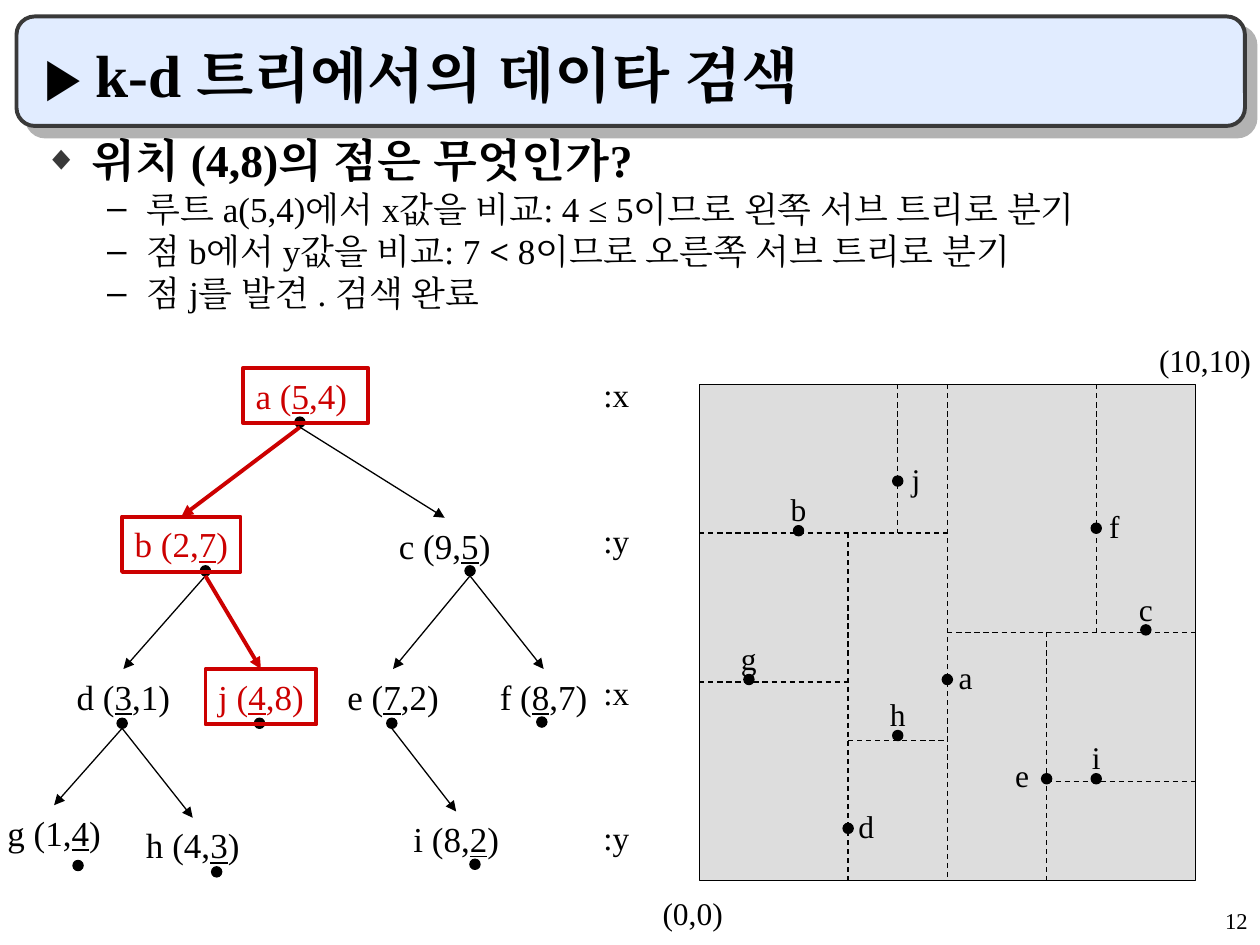
import pptx
import pptx.dml.color
import pptx.enum.dml
import pptx.enum.shapes
import pptx.enum.text
import pptx.oxml
import pptx.oxml.ns
import pptx.util

Pt = pptx.util.Pt
RGBColor = pptx.dml.color.RGBColor
SHAPE = pptx.enum.shapes.MSO_SHAPE
ALIGN = pptx.enum.text.PP_ALIGN
ANCHOR = pptx.enum.text.MSO_ANCHOR

BLACK = RGBColor(0x00, 0x00, 0x00)
RED = RGBColor(0xCC, 0x00, 0x00)
CHARCOAL = RGBColor(0x39, 0x39, 0x39)
PALE_BLUE = RGBColor(0xE1, 0xEC, 0xFF)
SHADOW_GRAY = RGBColor(0xB2, 0xB2, 0xB2)
PLANE_GRAY = RGBColor(0xDD, 0xDD, 0xDD)

FONT = "Times New Roman"
DOT = 5.8
NODE_HEIGHT = 31.7
PLANE_LEFT, PLANE_TOP, UNIT = 399.6, 219.6, 28.35

# name: (text before, compared coordinate, text after, left, top, width, dot x, dot y)
NODES = {
    "a": ("a (", "5", ",4) ", 139, 210.2, 71.3, 171.4, 241.2),
    "b": ("b (2,", "7", ")", 69.8, 295.2, 67.7, 117.4, 326.2),
    "c": ("c (9,", "5", ")", 221, 295.9, 66.2, 268.6, 326.2),
    "d": ("d (", "3", ",1)", 36.7, 382.3, 67.7, 69.8, 413.3),
    "f": ("f (", "8", ",7)", 278.6, 382.3, 64.1, 309.6, 412.6),
    "h": ("h (4,", "3", ")", 76.3, 467.3, 67.7, 123.8, 498.2),
    "g": ("g (1,", "4", ")", -2.9, 460.1, 67.7, 44.6, 494.6),
    "j": ("j (", "4", ",8)", 117.4, 382.3, 63.4, 148.3, 413.3),
    "i": ("i (8,", "2", ")", 229, 463.7, 63.4, 271.4, 493.9),
    "e": ("e (", "7", ",2)", 191.5, 382.3, 66.2, 223.9, 413.3),
}
EDGES = ["ab", "ac", "bd", "bj", "dg", "dh", "ei", "ce", "cf"]
SEARCH_PATH = "abj"
AXIS_LABELS = [(":x", 210.2), (":y", 293.8), (":x", 380.9), (":y", 463.7)]

# name: (x, y, side of the label)
POINTS = {
    "a": (5, 4, "right"), "b": (2, 7, "above"), "c": (9, 5, "above"),
    "d": (3, 1, "right"), "e": (7, 2, "left"), "f": (8, 7.05, "right"),
    "h": (4, 2.87, "above"), "g": (1, 4, "above"), "j": (4, 8, "right"),
    "i": (8, 2, "above"),
}
LABEL_OFFSETS = {"right": (10.4, -1.4), "left": (-14, -2), "above": (0, -12.2)}
SPLITS = [
    (5, 10, 5, 0), (0, 7, 5, 7), (5, 5, 10, 5), (3, 7, 3, 0), (7, 5, 7, 0),
    (8, 10, 8, 5), (0, 4, 3, 4), (7, 2, 10, 2), (4, 10, 4, 7), (3, 2.82, 5, 2.82),
]

BULLETS = [
    (0, [("위치 (4,8)의 점은 무엇인가?", True)]),
    (1, [("루트 a(5,4)에서 x값을 비교: 4 ≤ 5이므로 왼쪽 서브 트리로 분기", False)]),
    (1, [("점 b에서 y값을 비교: 7 ", False), ("<", True),
         (" 8이므로 오른쪽 서브 트리로 분기", False)]),
    (1, [("점 j를 발견 . 검색 완료", False)]),
]
# size, left margin, indent, space before, bullet, bullet colour, bullet percent
LEVELS = [
    (26, 27, -27, 6.5, "◆", CHARCOAL, 75),
    (20, 58.5, -22.5, 5, "–", BLACK, 100),
]


def add_xml(parent, markup):
    namespace = pptx.oxml.ns.nsdecls("a")
    parent.append(pptx.oxml.parse_xml(f"<a:wrap {namespace}>{markup}</a:wrap>")[0])


def add_run(paragraph, text, size, color=BLACK, bold=False, underline=False):
    run = paragraph.add_run()
    run.text = text
    font = run.font
    font.name, font.size, font.bold, font.underline = FONT, Pt(size), bold, underline
    font.color.rgb = color
    add_xml(run._r.get_or_add_rPr(), f'<a:ea typeface="{FONT}"/>')


def place(shape, left, top, width, height):
    shape.left, shape.top, shape.width, shape.height = map(Pt, (left, top, width, height))


def add_solid(shapes, kind, left, top, width, height, fill, line=BLACK, weight=0.75):
    shape = shapes.add_shape(kind, Pt(left), Pt(top), Pt(width), Pt(height))
    shape.shadow.inherit = False
    if fill is None:
        shape.fill.background()
    else:
        shape.fill.solid()
        shape.fill.fore_color.rgb = fill
    shape.line.color.rgb = line
    shape.line.width = Pt(weight)
    return shape


def add_dot(shapes, x, y):
    add_solid(shapes, SHAPE.OVAL, x - DOT / 2, y - DOT / 2, DOT, DOT, BLACK)


def add_label(shapes, text, left, top, width, height, size, align=ALIGN.LEFT):
    frame = shapes.add_textbox(Pt(left), Pt(top), Pt(width), Pt(height)).text_frame
    frame.word_wrap = True
    frame.paragraphs[0].alignment = align
    add_run(frame.paragraphs[0], text, size)


def add_line(shapes, x1, y1, x2, y2, color=BLACK, weight=0.75):
    straight = pptx.enum.shapes.MSO_CONNECTOR.STRAIGHT
    line = shapes.add_connector(straight, Pt(x1), Pt(y1), Pt(x2), Pt(y2))
    line.line.color.rgb = color
    line.line.width = Pt(weight)
    add_xml(line._element.spPr, "<a:effectLst/>")
    return line


def add_title(slide):
    card = add_solid(slide.shapes, SHAPE.ROUNDED_RECTANGLE, 9.4, 9.4, 702, 62.6,
                     PALE_BLUE, CHARCOAL, 2.25)
    effects = card._element.spPr.find(pptx.oxml.ns.qn("a:effectLst"))
    add_xml(effects, '<a:outerShdw blurRad="0" dist="107950" dir="2700000" algn="ctr" '
                     f'rotWithShape="0"><a:srgbClr val="{SHADOW_GRAY}"/></a:outerShdw>')
    slide.shapes._spTree.insert(2, card._element)  # behind the title

    title = slide.shapes.title
    place(title, 18, 18, 678, 48)
    frame = title.text_frame
    frame.auto_size = pptx.enum.text.MSO_AUTO_SIZE.NONE
    frame.vertical_anchor = ANCHOR.BOTTOM
    frame.paragraphs[0].alignment = ALIGN.LEFT
    add_run(frame.paragraphs[0], "▶ ", 32, bold=True)
    add_run(frame.paragraphs[0], "k-d 트리에서의 데이타 검색", 34, bold=True)


def add_bullets(slide):
    body = slide.placeholders[1]
    place(body, 18, 78, 678, 420)
    frame = body.text_frame
    frame.auto_size = pptx.enum.text.MSO_AUTO_SIZE.NONE
    for index, (level, runs) in enumerate(BULLETS):
        size, margin, indent, before, bullet, color, percent = LEVELS[level]
        paragraph = frame.add_paragraph() if index else frame.paragraphs[0]
        paragraph.level = level
        paragraph.line_spacing = 0.8
        paragraph.space_before = Pt(before if index else 0)
        properties = paragraph._p.get_or_add_pPr()
        properties.set("marL", str(Pt(margin)))
        properties.set("indent", str(Pt(indent)))
        add_xml(properties, f'<a:buClr><a:srgbClr val="{color}"/></a:buClr>')
        add_xml(properties, f'<a:buSzPct val="{percent * 1000}"/>')
        add_xml(properties, f'<a:buChar char="{bullet}"/>')
        for text, bold in runs:
            add_run(paragraph, text, size, bold=bold)


def add_node(shapes, name):
    """Add a tree node with its dot; nodes on the search path get a red frame."""
    before, compared, after, left, top, width, dot_x, dot_y = NODES[name]
    add_dot(shapes, dot_x, dot_y)
    visited = name in SEARCH_PATH
    if visited:
        node = add_solid(shapes, SHAPE.RECTANGLE, left, top, width, NODE_HEIGHT,
                         None, RED, 2.25)
    else:
        node = shapes.add_textbox(Pt(left), Pt(top), Pt(width), Pt(NODE_HEIGHT))
    frame = node.text_frame
    frame.word_wrap = False
    frame.margin_left = frame.margin_right = 0
    frame.vertical_anchor = ANCHOR.TOP
    paragraph = frame.paragraphs[0]
    paragraph.alignment = ALIGN.CENTER
    for text in (before, compared, after):
        add_run(paragraph, text, 20, RED if visited else BLACK, underline=text == compared)
    return node


def add_tree(shapes):
    nodes = {name: add_node(shapes, name) for name in NODES}
    for parent, child in EDGES:
        x, y = NODES[parent][-2:]
        on_path = parent + child in SEARCH_PATH
        arrow = add_line(shapes, x, y + DOT / 2, x, y,
                         RED if on_path else BLACK, 2.25 if on_path else 0.75)
        arrow.end_connect(nodes[child], 0)
        add_xml(arrow.line._get_or_add_ln(), '<a:tailEnd type="triangle"/>')
    for text, top in AXIS_LABELS:
        add_label(shapes, text, 337.7, top, 70.6, 30.2, 19)


def plane_position(x, y):
    return PLANE_LEFT + x * UNIT, PLANE_TOP + (10 - y) * UNIT


def add_plane(shapes):
    add_solid(shapes, SHAPE.RECTANGLE, PLANE_LEFT, PLANE_TOP, 10 * UNIT, 10 * UNIT, PLANE_GRAY)
    for name, (x, y, side) in POINTS.items():
        dot_x, dot_y = plane_position(x, y)
        dot_y -= 1.4
        add_dot(shapes, dot_x, dot_y)
        dx, dy = LABEL_OFFSETS[side]
        add_label(shapes, name, dot_x + dx - 14, dot_y + dy - 14.4, 28, 28.8, 18, ALIGN.CENTER)
    for x1, y1, x2, y2 in SPLITS:
        split = add_line(shapes, *plane_position(x1, y1), *plane_position(x2, y2))
        split.line.dash_style = pptx.enum.dml.MSO_LINE.DASH
    add_label(shapes, "(0,0)", 371.5, 507.6, 85, 28.8, 18)
    add_label(shapes, "(10,10)", 655.2, 191.5, 85, 28.8, 18)


def main():
    deck = pptx.Presentation()
    deck.slide_width, deck.slide_height = Pt(720), Pt(540)
    slide = deck.slides.add_slide(deck.slide_layouts[1])
    add_title(slide)
    add_bullets(slide)
    add_label(slide.shapes, "12", 570.2, 514.5, 149.8, 23.8, 12.9, ALIGN.RIGHT)
    add_tree(slide.shapes)
    add_plane(slide.shapes.add_group_shape().shapes)
    deck.save("out.pptx")


if __name__ == "__main__":
    main()
